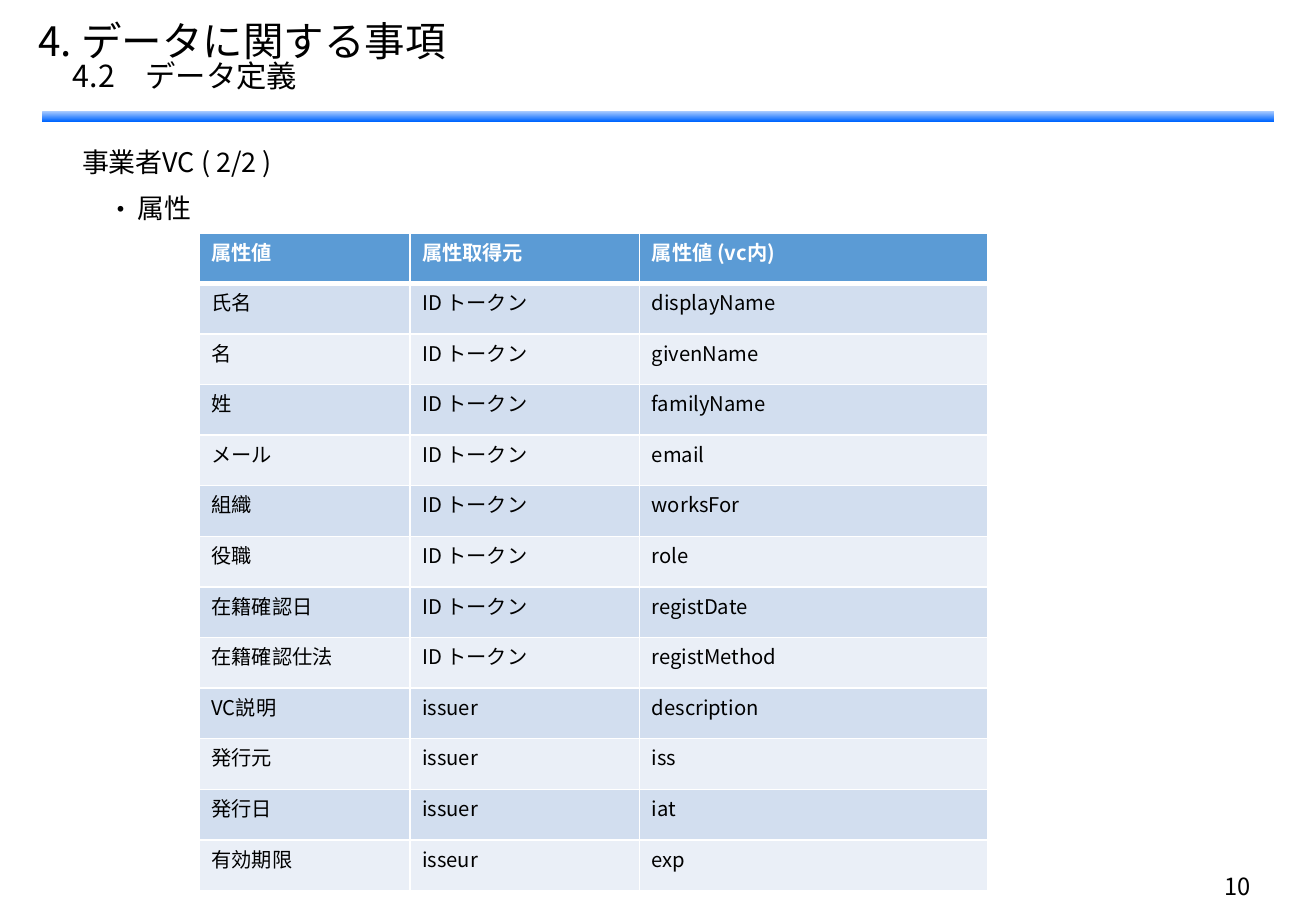
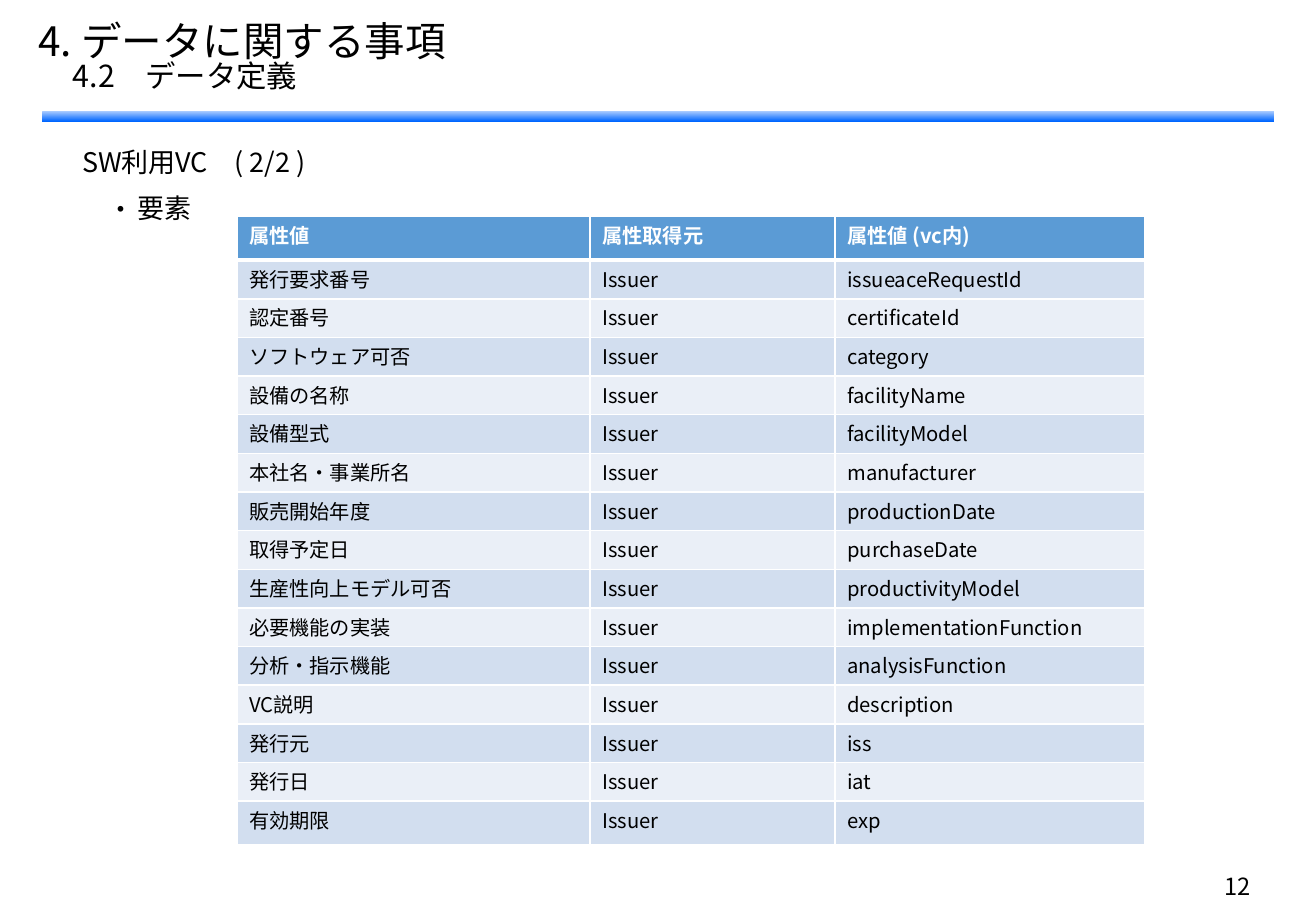
from dataclasses import dataclass

from lxml.etree import SubElement
from pptx import Presentation
from pptx.dml.color import RGBColor
from pptx.enum.shapes import MSO_SHAPE
from pptx.enum.text import MSO_ANCHOR, MSO_AUTO_SIZE, PP_ALIGN
from pptx.oxml.ns import qn
from pptx.slide import Slide, SlideLayout
from pptx.table import _Cell
from pptx.text.text import TextFrame, _Paragraph
from pptx.util import Emu, Pt

EMU_PER_PX = 7620


@dataclass(frozen=True)
class Theme:
    font: str = "Noto Sans CJK JP"
    text: str = "000000"
    white: str = "FFFFFF"
    band_top: str = "A9CBFF"
    band_bottom: str = "0066FF"
    header: str = "5B9BD5"
    odd_row: str = "D2DEEF"
    even_row: str = "EAEFF7"
    title_size: int = 24
    section_size: int = 18
    body_size: int = 16
    number_size: int = 14
    table_size: int = 12
    border: int = 1
    header_border: int = 3


@dataclass(frozen=True)
class Box:
    left: int
    top: int
    width: int
    height: int

    def emu(self) -> tuple[Emu, ...]:
        return tuple(px(v) for v in (self.left, self.top, self.width, self.height))


@dataclass(frozen=True)
class AttributeTable:
    left: int
    top: int
    columns: tuple[int, ...]
    row_heights: tuple[int, ...]
    rows: tuple[tuple[str, str, str], ...]


@dataclass(frozen=True)
class Page:
    number: int
    credential: str
    topic: str
    table: AttributeTable


THEME = Theme()
SLIDE_WIDTH, SLIDE_HEIGHT = 1300, 900
BAND = Box(42, 110, 1217, 10)
TITLE = Box(26, 17, 1163, 84)
BODY = Box(41, 138, 1206, 92)
NUMBER = Box(943, 847, 304, 48)

HEADINGS = ("属性値", "属性取得元", "属性値 (vc内)")
ID_TOKEN = "ID トークン"

PAGES = (
    Page(10, "事業者VC ( 2/2 )", "属性", AttributeTable(
        197, 230, (208, 227, 344), (50,) * 13,
        (
            ("氏名", ID_TOKEN, "displayName"),
            ("名", ID_TOKEN, "givenName"),
            ("姓", ID_TOKEN, "familyName"),
            ("メール", ID_TOKEN, "email"),
            ("組織", ID_TOKEN, "worksFor"),
            ("役職", ID_TOKEN, "role"),
            ("在籍確認日", ID_TOKEN, "registDate"),
            ("在籍確認仕法", ID_TOKEN, "registMethod"),
            ("VC説明", "issuer", "description"),
            ("発行元", "issuer", "iss"),
            ("発行日", "issuer", "iat"),
            ("有効期限", "isseur", "exp"),
        ),
    )),
    Page(12, "SW利用VC　( 2/2 )", "要素", AttributeTable(
        234, 214, (349, 242, 306), (43, *(36,) * 14, 43),
        tuple((label, "Issuer", claim) for label, claim in (
            ("発行要求番号", "issueaceRequestId"),
            ("認定番号", "certificateId"),
            ("ソフトウェア可否", "category"),
            ("設備の名称", "facilityName"),
            ("設備型式", "facilityModel"),
            ("本社名・事業所名", "manufacturer"),
            ("販売開始年度", "productionDate"),
            ("取得予定日", "purchaseDate"),
            ("生産性向上モデル可否", "productivityModel"),
            ("必要機能の実装", "implementationFunction"),
            ("分析・指示機能", "analysisFunction"),
            ("VC説明", "description"),
            ("発行元", "iss"),
            ("発行日", "iat"),
            ("有効期限", "exp"),
        )),
    )),
)


def px(length: int) -> Emu:
    return Emu(length * EMU_PER_PX)


def style(paragraph: _Paragraph, size: int, color: str = THEME.text, bold: bool = False) -> None:
    for run in paragraph.runs:
        run.font.name = THEME.font
        run.font.size = Pt(size)
        run.font.bold = bold
        run.font.color.rgb = RGBColor.from_string(color)
        SubElement(run.font._element, qn("a:ea"), typeface=THEME.font)


def indent(paragraph: _Paragraph, margin: int, hanging: int = 0, bullet: str = "") -> None:
    properties = paragraph._p.get_or_add_pPr()
    properties.set("marL", str(px(margin)))
    properties.set("indent", str(px(-hanging)))
    if bullet:
        SubElement(properties, qn("a:buFont"), typeface=THEME.font)
        SubElement(properties, qn("a:buChar"), char=bullet)
    else:
        SubElement(properties, qn("a:buNone"))


def place(shape, box: Box, anchor: MSO_ANCHOR) -> TextFrame:
    shape.left, shape.top, shape.width, shape.height = box.emu()
    frame = shape.text_frame
    frame.word_wrap = True
    frame.auto_size = MSO_AUTO_SIZE.NONE
    frame.vertical_anchor = anchor
    return frame


def add_band(slide: Slide, layout: SlideLayout) -> None:
    band = slide.shapes.add_shape(MSO_SHAPE.RECTANGLE, *BAND.emu())
    band.shadow.inherit = False
    band.line.fill.background()
    band.fill.gradient()
    band.fill.gradient_angle = 270
    for stop, color in zip(band.fill.gradient_stops, (THEME.band_top, THEME.band_bottom)):
        stop.color.rgb = RGBColor.from_string(color)
    layout.shapes.element.append(band.element)


def add_title(slide: Slide) -> None:
    frame = place(slide.shapes.title, TITLE, MSO_ANCHOR.MIDDLE)
    frame.text = "4. データに関する事項\n4.2　データ定義"
    chapter, section = frame.paragraphs
    for paragraph, size, margin in (
        (chapter, THEME.title_size, 0),
        (section, THEME.section_size, 34),
    ):
        paragraph.alignment = PP_ALIGN.LEFT
        paragraph.line_spacing = 0.8
        indent(paragraph, margin)
        style(paragraph, size)


def add_body(slide: Slide, page: Page) -> None:
    frame = place(slide.placeholders[1], BODY, MSO_ANCHOR.TOP)
    frame.text = f"{page.credential}\n{page.topic}"
    credential, topic = frame.paragraphs
    for paragraph in (credential, topic):
        paragraph.line_spacing = Pt(19.2)
        paragraph.space_before = Pt(THEME.body_size / 2)
        style(paragraph, THEME.body_size)
    indent(credential, 28)
    indent(topic, 83, 30, "・")


def add_number(slide: Slide, number: int) -> None:
    frame = place(slide.shapes.add_textbox(*NUMBER.emu()), NUMBER, MSO_ANCHOR.BOTTOM)
    frame.text = str(number)
    paragraph = frame.paragraphs[0]
    paragraph.alignment = PP_ALIGN.RIGHT
    paragraph.line_spacing = 0.8
    style(paragraph, THEME.number_size)


def add_borders(cell: _Cell, row: int) -> None:
    properties = cell._tc.get_or_add_tcPr()
    for side in "LRTB":
        beside_header = (row, side) in ((0, "B"), (1, "T"))
        width = THEME.header_border if beside_header else THEME.border
        line = SubElement(properties, qn(f"a:ln{side}"), w=str(Pt(width)))
        SubElement(SubElement(line, qn("a:solidFill")), qn("a:srgbClr"), val=THEME.white)


def fill_cell(cell: _Cell, text: str, row: int) -> None:
    is_header = row == 0
    band = THEME.odd_row if row % 2 else THEME.even_row
    add_borders(cell, row)
    cell.fill.solid()
    cell.fill.fore_color.rgb = RGBColor.from_string(THEME.header if is_header else band)
    cell.text_frame.text = text
    paragraph = cell.text_frame.paragraphs[0]
    paragraph.line_spacing = 0.9
    style(paragraph, THEME.table_size, THEME.white if is_header else THEME.text, is_header)


def add_attributes(slide: Slide, data: AttributeTable) -> None:
    box = Box(data.left, data.top, sum(data.columns), sum(data.row_heights))
    table = slide.shapes.add_table(len(data.row_heights), len(data.columns), *box.emu()).table
    table.horz_banding = False
    for column, width in zip(table.columns, data.columns):
        column.width = px(width)
    for row, height in zip(table.rows, data.row_heights):
        row.height = px(height)
    for row, texts in enumerate((HEADINGS, *data.rows)):
        for column, text in enumerate(texts):
            fill_cell(table.cell(row, column), text, row)


def main() -> None:
    deck = Presentation()
    deck.slide_width, deck.slide_height = px(SLIDE_WIDTH), px(SLIDE_HEIGHT)
    layout = deck.slide_layouts[1]
    for page in PAGES:
        slide = deck.slides.add_slide(layout)
        add_title(slide)
        add_body(slide, page)
        add_number(slide, page.number)
        add_attributes(slide, page.table)
    add_band(deck.slides[0], layout)
    deck.save("out.pptx")


if __name__ == "__main__":
    main()
